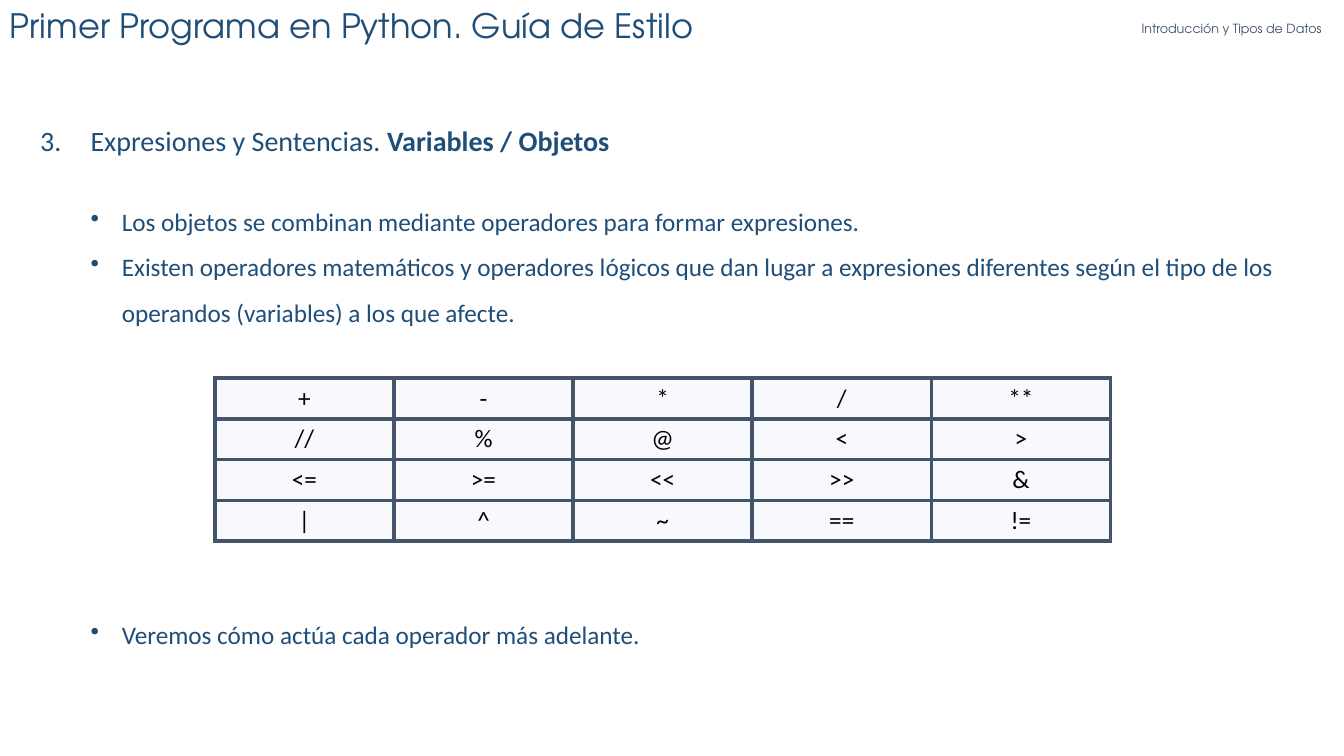
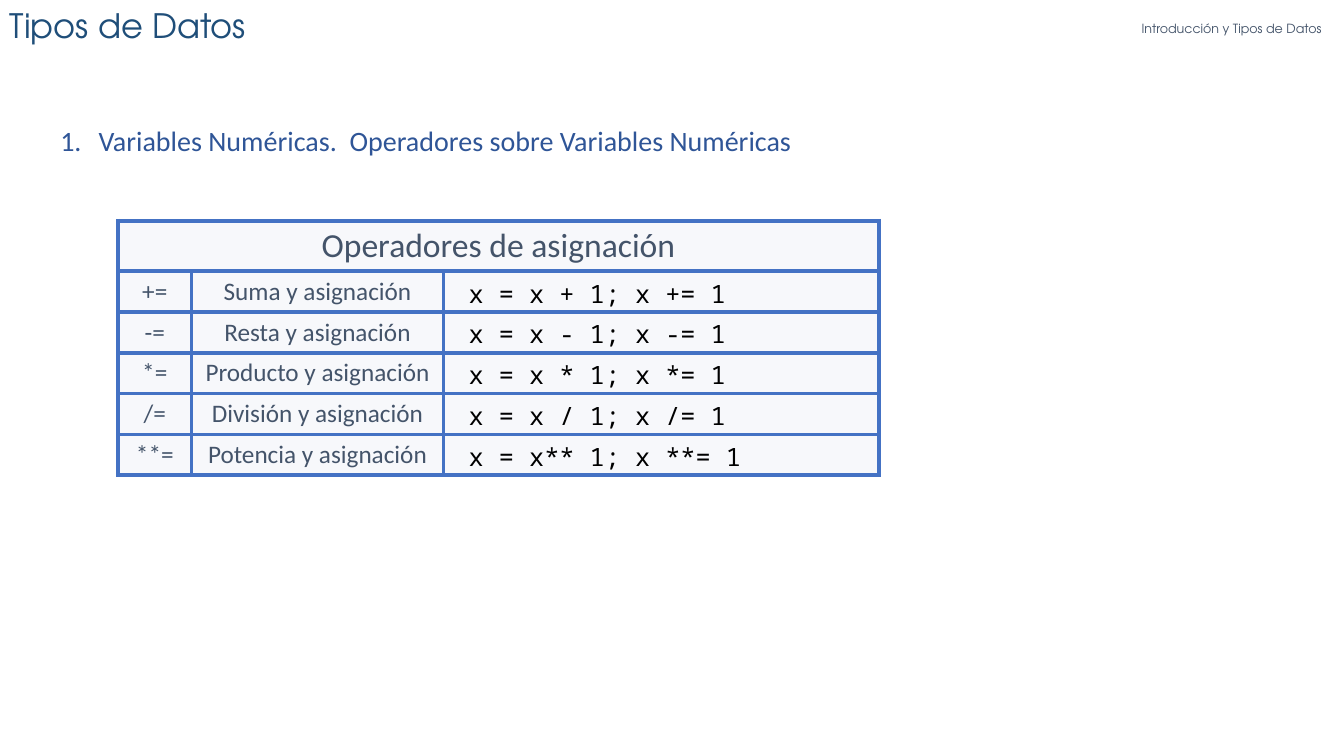
from collections import namedtuple

from lxml.etree import SubElement
from pptx import Presentation
from pptx.dml.color import RGBColor
from pptx.enum.text import PP_ALIGN
from pptx.oxml import parse_xml
from pptx.oxml.ns import nsdecls, qn
from pptx.util import Inches, Pt

NAVY = RGBColor(0x1F, 0x4E, 0x79)
ROYAL = RGBColor(0x2F, 0x55, 0x97)
BLUE = RGBColor(0x44, 0x72, 0xC4)
SLATE = RGBColor(0x44, 0x54, 0x6A)
BLACK = RGBColor(0x00, 0x00, 0x00)
ICE = RGBColor(0xDA, 0xE3, 0xF3)
MIST = RGBColor(0xE9, 0xEB, 0xF5)

Look = namedtuple("Look", "size color font align", defaults=["Calibri", PP_ALIGN.LEFT])
Skin = namedtuple("Skin", "border tint opacity")

TITLE = Look(24, NAVY, "TeX Gyre Adventor")
TOPIC = Look(9, SLATE, "TeX Gyre Adventor", PP_ALIGN.CENTER)
HEADING = Look(20, NAVY)
BLUE_HEADING = Look(20, ROYAL)
BULLET = Look(18, NAVY)
OPERATOR = Look(18, BLACK, align=PP_ALIGN.CENTER)
LABEL = Look(18, SLATE, align=PP_ALIGN.CENTER)
BANNER = Look(24, SLATE, align=PP_ALIGN.CENTER)
CODE = Look(18, BLACK, "Noto Sans Mono")

BODY_TOP = 15.73
BODY_WIDTH = 95.55
ROW_HEIGHT = 5.4


class Deck:
    """Builds pages on a grid of 100 columns by 100 rows."""

    def __init__(self):
        self.file = Presentation()
        self.file.slide_width = Inches(13.33)
        self.file.slide_height = Inches(7.5)
        self.page = None

    def across(self, columns):
        return round(self.file.slide_width * columns / 100)

    def down(self, rows):
        return round(self.file.slide_height * rows / 100)

    def add_page(self, title, title_width):
        self.page = self.file.slides.add_slide(self.file.slide_layouts[6])
        topic = self.add_box(83.25, 2.27, 16.75, 3.87).paragraphs[0]
        self.add_span(topic, "Introducción y Tipos de Datos", TOPIC)
        topic.line_spacing = 0.9
        self.add_span(self.add_box(0, 0, title_width, 6.67).paragraphs[0], title, TITLE)

    def add_box(self, left, top, width, height):
        """Adds a wrapping text box and returns its text frame."""
        box = self.page.shapes.add_textbox(
            self.across(left), self.down(top), self.across(width), self.down(height))
        box.text_frame.word_wrap = True
        return box.text_frame

    def add_span(self, para, text, look, bold=False):
        """Appends one styled span to a paragraph."""
        para.alignment = look.align
        span = para.add_run()
        span.text = text
        span.font.size = Pt(look.size)
        span.font.name = look.font
        span.font.color.rgb = look.color
        span.font.bold = bold

    def mark(self, para, margin, hanging, number=None):
        """Gives a paragraph a hanging number, or a bullet without one."""
        properties = para._p.get_or_add_pPr()
        properties.set("marL", str(Inches(margin)))
        properties.set("indent", str(-Inches(hanging)))
        if number:
            SubElement(properties, qn("a:buAutoNum"), type="arabicPeriod", startAt=str(number))
        else:
            SubElement(properties, qn("a:buChar"), char="•")

    def add_bullet(self, frame, text, gap=0):
        para = frame.add_paragraph()
        para.level = 1
        self.mark(para, 0.81, 0.31)
        para.line_spacing = 1.5
        para.space_before = Pt(gap)
        self.add_span(para, text, BULLET)

    def add_table(self, left, top, widths, heights, rows, looks, skin):
        """Adds a table with one text look per column."""
        frame = self.page.shapes.add_table(
            len(rows), len(widths), self.across(left), self.down(top),
            self.across(sum(widths)), self.down(sum(heights)))
        table = frame.table
        table.first_row = table.horz_banding = False
        for column, width in zip(table.columns, widths):
            column.width = self.across(width)
        for row, height, texts in zip(table.rows, heights, rows):
            row.height = self.down(height)
            for cell, text, look in zip(row.cells, texts, looks):
                self.paint(cell, skin)
                if text:
                    self.add_span(cell.text_frame.paragraphs[0], text, look)
                if look is CODE:
                    cell.margin_bottom = 0
        return table

    def paint(self, cell, skin):
        """Fills a cell with a translucent tint and draws its four borders."""
        cell.fill.solid()
        cell.fill.fore_color.rgb = skin.tint
        properties = cell._tc.get_or_add_tcPr()
        tint = properties.find(qn("a:solidFill"))[0]
        SubElement(tint, qn("a:alpha"), val=str(skin.opacity * 1000))
        for place, side in enumerate("LRTB"):
            properties.insert(place, parse_xml(
                f'<a:ln{side} {nsdecls("a")} w="{Pt(3)}"><a:solidFill>'
                f'<a:srgbClr val="{skin.border}"/></a:solidFill></a:ln{side}>'))


def add_operators_page(deck):
    deck.add_page("Primer Programa en Python. Guía de Estilo", 53.63)
    body = deck.add_box(2.25, BODY_TOP, BODY_WIDTH, 70.27)
    heading = body.paragraphs[0]
    deck.mark(heading, 0.5, 0.5, number=3)
    deck.add_span(heading, "Expresiones y Sentencias. ", HEADING)
    deck.add_span(heading, "Variables / Objetos", HEADING, bold=True)
    deck.add_bullet(
        body, "Los objetos se combinan mediante operadores para formar expresiones.", gap=24)
    deck.add_bullet(
        body, "Existen operadores matemáticos y operadores lógicos que dan lugar a expresiones "
        "diferentes según el tipo de los operandos (variables) a los que afecte.")
    deck.add_bullet(body, "Veremos cómo actúa cada operador más adelante.", gap=198)
    rows = [line.split() for line in ("+ - * / **", "// % @ < >", "<= >= << >> &", "| ^ ~ == !=")]
    deck.add_table(15.98, 50, [13.33] * 5, [ROW_HEIGHT] * 4, rows,
                   [OPERATOR] * 5, Skin(SLATE, ICE, 19))


def add_assignment_page(deck):
    deck.add_page("Tipos de Datos", 19.65)
    heading = deck.add_box(0, BODY_TOP, BODY_WIDTH, 9.87).paragraphs[0]
    heading.level = 1
    deck.mark(heading, 0.88, 0.38, number=1)
    deck.add_span(
        heading, "Variables Numéricas.  Operadores sobre Variables Numéricas", BLUE_HEADING)
    rows = [
        ("", "", ""),
        ("+=", "Suma y asignación", " x = x + 1; x += 1"),
        ("-=", "Resta y asignación", " x = x - 1; x -= 1"),
        ("*=", "Producto y asignación", " x = x * 1; x *= 1"),
        ("/=", "División y asignación", " x = x / 1; x /= 1"),
        ("**=", "Potencia y asignación", " x = x** 1; x **= 1"),
    ]
    table = deck.add_table(8.78, 29.2, [5.47, 18.75, 32.4], [6.67] + [ROW_HEIGHT] * 5, rows,
                           [LABEL, LABEL, CODE], Skin(BLUE, MIST, 35))
    banner = table.cell(0, 0)
    banner.merge(table.cell(0, 2))
    deck.add_span(banner.text_frame.paragraphs[0], "Operadores de asignación", BANNER)


def main():
    deck = Deck()
    add_operators_page(deck)
    add_assignment_page(deck)
    deck.file.save("out.pptx")


if __name__ == "__main__":
    main()
